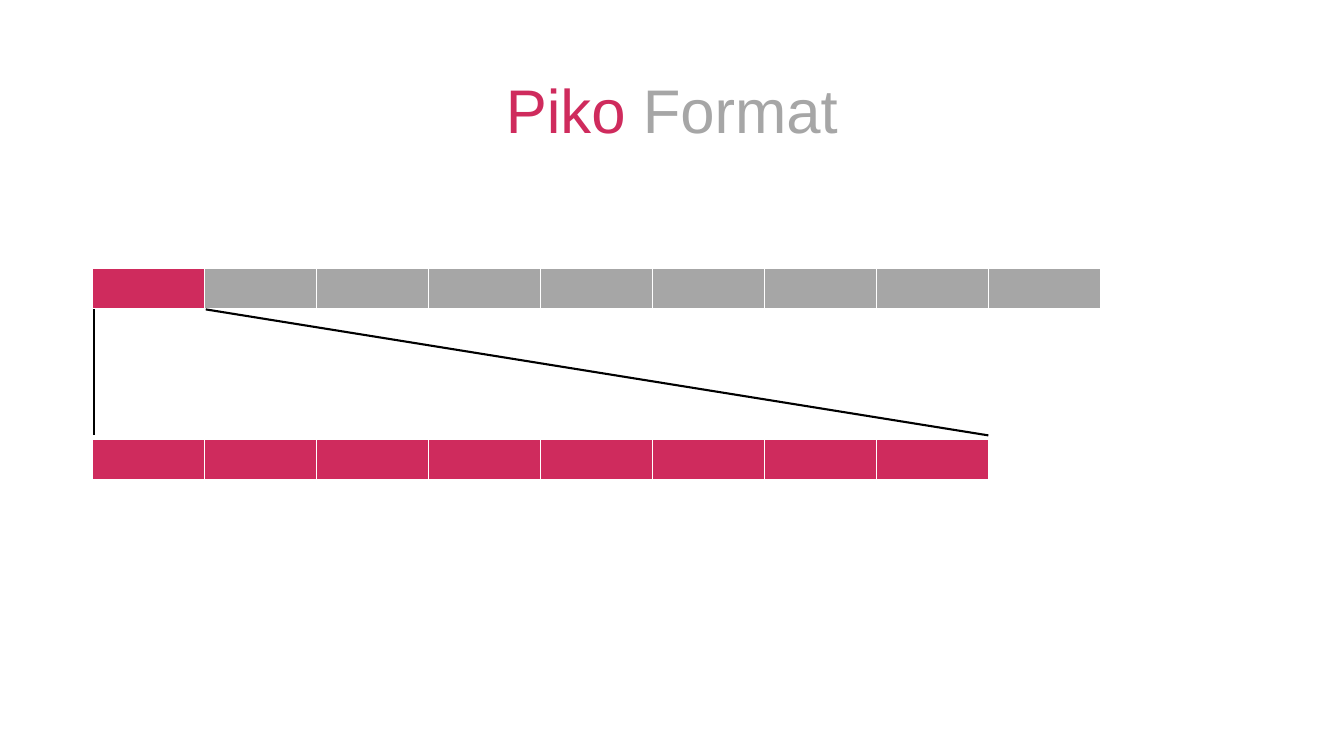
from lxml.etree import SubElement
from pptx import Presentation
from pptx.dml.color import RGBColor
from pptx.enum.shapes import MSO_CONNECTOR
from pptx.enum.text import MSO_ANCHOR, PP_ALIGN
from pptx.oxml.ns import qn
from pptx.util import Pt

COLORS = {"piko": "CF2B5D", "gray": "A6A6A6", "white": "FFFFFF", "black": "000000"}
LEFT, CELL_WIDTH, CELL_HEIGHT = 66, 80, 29.2
BORDERS = {"a:lnL": 1, "a:lnR": 1, "a:lnT": 1, "a:lnB": 3}


class SlideBuilder:
    """Holds the style and the current slide."""

    font_name = "Arial"
    title_size = Pt(44)
    line_width = Pt(1.5)

    def __init__(self, slide):
        """Keep the slide to draw on."""
        self.slide = slide

    def color(self, name):
        """Return a named colour."""
        return RGBColor.from_string(COLORS[name])

    def title(self, left, top, width, height, spans):
        """Add a centred title made of (text, colour) spans."""
        box = self.slide.shapes.add_textbox(Pt(left), Pt(top), Pt(width), Pt(height))
        frame = box.text_frame
        frame.word_wrap = True
        frame.vertical_anchor = MSO_ANCHOR.MIDDLE
        para = frame.paragraphs[0]
        para.alignment = PP_ALIGN.CENTER
        para.line_spacing = 0.9
        para.font.name = self.font_name
        para.font.size = self.title_size
        for text, color in spans:
            span = para.add_run()
            span.text = text
            span.font.color.rgb = self.color(color)

    def border(self, cell):
        """Draw white borders around a table cell."""
        properties = cell._tc.get_or_add_tcPr()
        for tag, width in BORDERS.items():
            line = SubElement(properties, qn(tag), w=str(Pt(width)))
            fill = SubElement(line, qn("a:solidFill"))
            SubElement(fill, qn("a:srgbClr"), val=COLORS["white"])

    def byte_row(self, top, fills):
        """Add a one-row table with one equal cell per fill colour."""
        frame = self.slide.shapes.add_table(
            1, len(fills), Pt(LEFT), Pt(top), Pt(CELL_WIDTH * len(fills)), Pt(CELL_HEIGHT))
        table = frame.table
        table.first_row = table.horz_banding = False
        for column, fill in enumerate(fills):
            table.columns[column].width = Pt(CELL_WIDTH)
            cell = table.cell(0, column)
            self.border(cell)
            cell.fill.solid()
            cell.fill.fore_color.rgb = self.color(fill)

    def line(self, start, end):
        """Add a straight black line between two points."""
        points = [Pt(value) for value in (*start, *end)]
        connector = self.slide.shapes.add_connector(MSO_CONNECTOR.STRAIGHT, *points)
        connector.line.color.rgb = self.color("black")
        connector.line.width = self.line_width
        SubElement(connector._element.spPr, qn("a:effectLst"))


def main():
    """Build the slide and save the deck."""
    deck = Presentation()
    deck.slide_width, deck.slide_height = Pt(960), Pt(540)
    page = SlideBuilder(deck.slides.add_slide(deck.slide_layouts[6]))

    page.title(LEFT, 28.8, 828, 104.4, [("Piko ", "piko"), ("Format", "gray")])
    page.byte_row(192, ["piko"] + ["gray"] * 8)
    page.byte_row(314, ["piko"] * 8)

    zoom_left, zoom_top, zoom_bottom = LEFT + 1, 221, 311
    page.line((zoom_left, zoom_top), (zoom_left, zoom_bottom))
    page.line((zoom_left + CELL_WIDTH, zoom_top), (LEFT + 8 * CELL_WIDTH, zoom_bottom))

    deck.save("out.pptx")


main()
